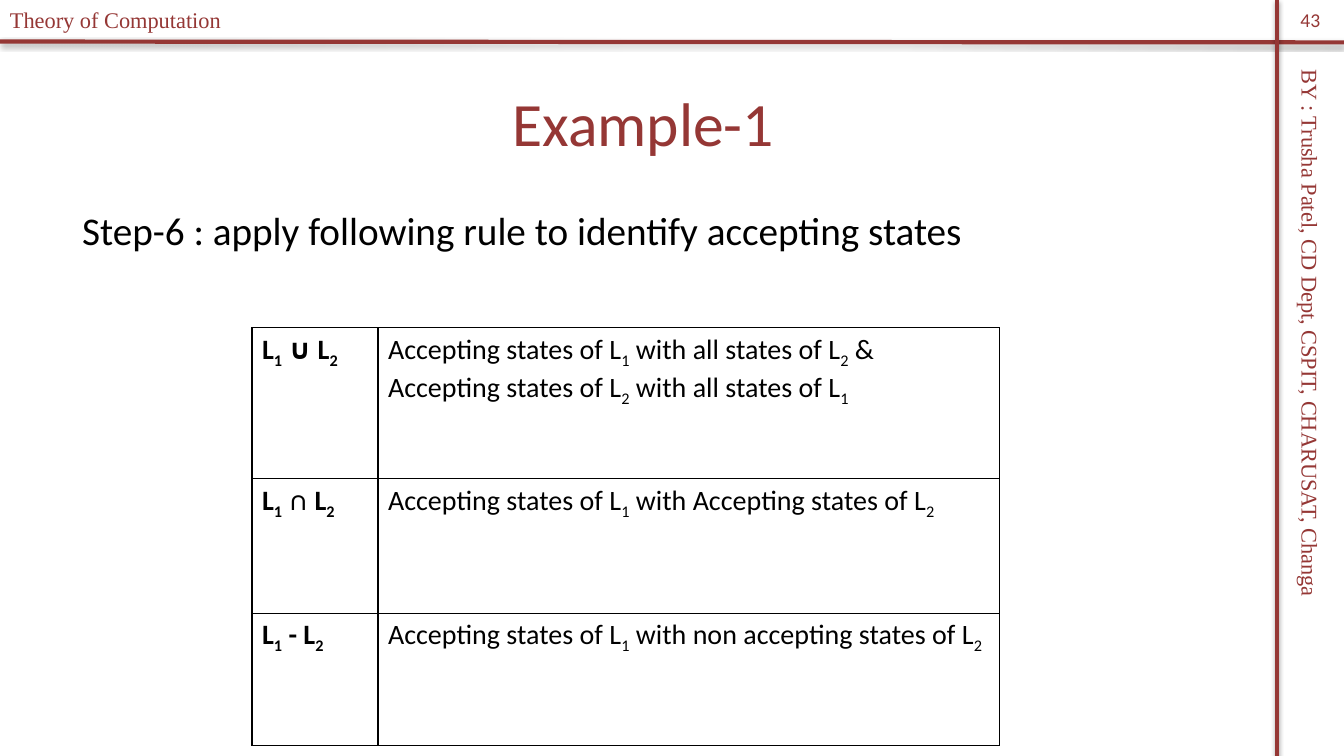
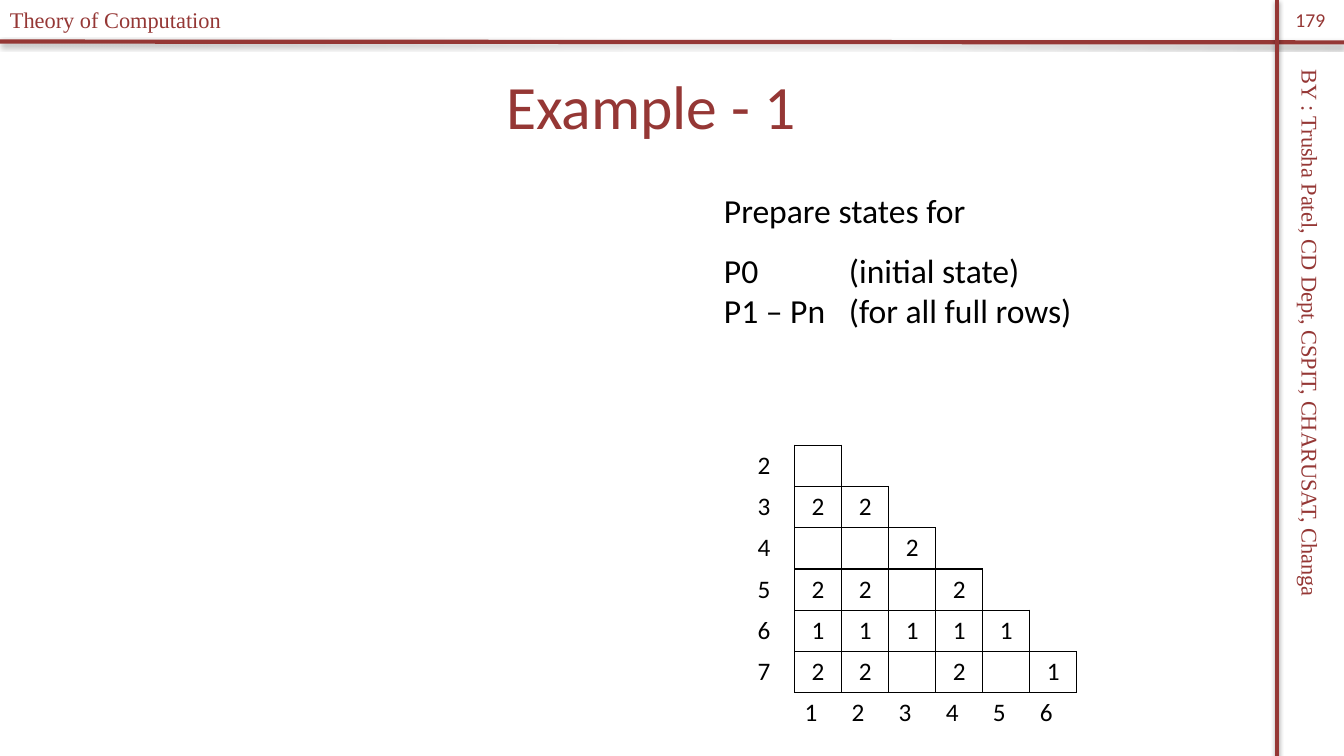
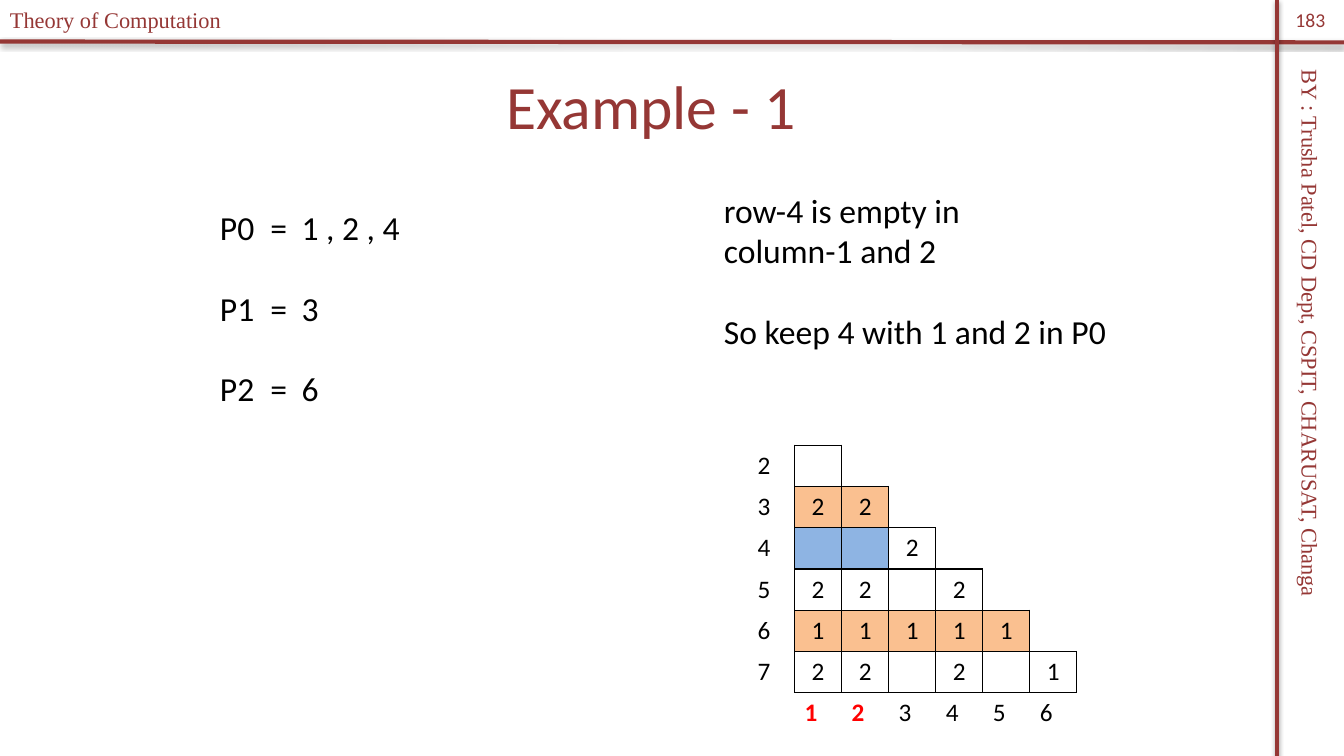
from lxml import etree
from pptx import Presentation
from pptx import util as u
from pptx.dml.color import RGBColor
from pptx.enum import shapes, text
from pptx.oxml.ns import qn

# Palette and fonts
MAROON, BLACK, RED = "953735", "000000", "FF0000"
ORANGE, BLUE = "FAC090", "8EB4E3"
SANS, SERIF, MATH = "Calibri", "Times New Roman", "Cambria"
LEFT, CENTER = text.PP_ALIGN.LEFT, text.PP_ALIGN.CENTER
TOP, MIDDLE = text.MSO_ANCHOR.TOP, text.MSO_ANCHOR.MIDDLE

deck = Presentation()
# Grid of 160 columns and 90 rows
UNIT = u.Inches(1) / 12
deck.slide_width, deck.slide_height = round(160 * UNIT), round(90 * UNIT)
BLANK = deck.slide_layouts[6]


def write(frame, lines, size, font=SANS, color=BLACK, align=LEFT, bold=False, tabs=()):
    """Fill a frame with (text, space before) lines; _ lowers the next character."""
    for number, (line, gap) in enumerate(lines):
        para = frame.paragraphs[0] if number == 0 else frame.add_paragraph()
        para.alignment = align
        if gap:
            para.space_before = u.Pt(gap)
        if tabs:
            stops = etree.SubElement(para._p.get_or_add_pPr(), qn("a:tabLst"))
            for stop in tabs:
                etree.SubElement(stops, qn("a:tab"), pos=str(u.Inches(stop)), algn="l")
        plain, *lowered = line.split("_")
        pieces = [(plain, False)]
        for part in lowered:
            pieces += [(part[0], True), (part[1:], False)]
        for piece, is_index in pieces:
            if not piece:
                continue
            run = para.add_run()
            run.text = piece
            run.font.name = MATH if piece.strip() in ("∪", "∩", "-") else font
            run.font.size, run.font.bold = u.Pt(size), bold
            run.font.color.rgb = RGBColor.from_string(color)
            if is_index:
                run._r.get_or_add_rPr().set("baseline", "-25000")


def style_cell(cell, edges, fill=None):
    """Draw the edges that are true (left, right, top, bottom), then the fill."""
    props = cell._tc.get_or_add_tcPr()
    for side, drawn in zip("LRTB", edges):
        edge = etree.SubElement(props, qn("a:ln" + side), w=str(u.Pt(1)))
        if drawn:
            ink = etree.SubElement(edge, qn("a:solidFill"))
            etree.SubElement(ink, qn("a:srgbClr"), val=BLACK)
        else:
            etree.SubElement(edge, qn("a:noFill"))
    if fill:
        cell.fill.solid()
        cell.fill.fore_color.rgb = RGBColor.from_string(fill)
    else:
        cell.fill.background()


# Label styles: size, font, colour, alignment, anchor, rotation
RUNNING = (16, SERIF, MAROON, LEFT, TOP, 0)
SIDEWAYS = (16, SERIF, MAROON, LEFT, TOP, 90)
NUMBER = (14, SANS, MAROON, CENTER, MIDDLE, 0)
TITLE = (44, SANS, MAROON, CENTER, MIDDLE, 0)
STEP = (28, SANS, BLACK, LEFT, TOP, 0)
NOTE = (24, SANS, BLACK, LEFT, TOP, 0)

# Parts on every slide
RULES = [(0, 4.95, 160, 5.05), (152, 0, 152, 90)]
HEADINGS = [
    ((117.5, 43.4, 77, 4.4), [("BY : Trusha Patel, CD Dept, CSPIT, CHARUSAT, Changa", 0)], SIDEWAYS, ()),
    ((0, 0.1, 39.5, 4.4), [("Theory of Computation", 0)], RUNNING, ()),
]
TITLE_BOX = (22, 5, 111, 15)

# Accepting-state rules
rules_table = [
    ("L_1 ∪ L_2", ["Accepting states of L_1 with all states of L_2 &",
                   "Accepting states of L_2 with all states of L_1"]),
    ("L_1 ∩ L_2", ["Accepting states of L_1 with Accepting states of L_2"]),
    ("L_1 - L_2", ["Accepting states of L_1 with non accepting states of L_2"]),
]

# Marks of the state pairs, one string per state from 2 to 7
MARKS = [" ", "22", "  2", "22 2", "11111", "22 2 1"]
SIZE = len(MARKS) + 1

# Each slide: number, title, title box, notes, (row fills, red columns) of the marks
pages = [
    (43, "Example-1", (2.6, 7, 148, 15), [
        ((8.6, 24, 142, 63),
         [("Step-6 : apply following rule to identify accepting states", 0)], STEP, ()),
    ], None),
    (179, "Example - 1", TITLE_BOX, [
        ((85, 22, 50, 18),
         [("Prepare states for", 0), ("P0\t(initial state)", 14),
          ("P1 – Pn\t(for all full rows)", 0)], NOTE, (1.24,)),
    ], ({}, ())),
    (183, "Example - 1", TITLE_BOX, [
        ((85, 22, 50, 28),
         [("row-4 is empty in", 0), ("column-1 and 2", 0),
          ("So keep 4 with 1 and 2 in P0", 29)], NOTE, ()),
        ((25, 24, 28, 25.5),
         [("P0\t=\t1 , 2 , 4", 0), ("P1\t=\t3", 29), ("P2\t=\t6", 29)], NOTE, (0.5, 0.81)),
    ], ({1: (ORANGE, 2), 2: (BLUE, 2), 4: (ORANGE, 5)}, (1, 2))),
]

for number, title, title_box, notes, marking in pages:
    slide = deck.slides.add_slide(BLANK)

    # Crossing rules with a soft shadow
    for ends in RULES:
        rule = slide.shapes.add_connector(
            shapes.MSO_CONNECTOR.STRAIGHT, *[round(end * UNIT) for end in ends])
        rule.line.color.rgb = RGBColor.from_string(MAROON)
        rule.line.width = u.Pt(3)
        effects = etree.SubElement(rule._element.spPr, qn("a:effectLst"))
        shadow = etree.SubElement(effects, qn("a:outerShdw"), blurRad="40000",
                                  dist="23000", dir="5400000", rotWithShape="0")
        tint = etree.SubElement(shadow, qn("a:srgbClr"), val=BLACK)
        etree.SubElement(tint, qn("a:alpha"), val="35000")

    # Headings, title, number and notes
    labels = HEADINGS + [
        (title_box, [(title, 0)], TITLE, ()),
        ((152, 0, 8, 4.8), [(str(number), 0)], NUMBER, ()),
    ] + notes
    for box, lines, (size, font, color, align, anchor, turn), tabs in labels:
        label = slide.shapes.add_textbox(*[round(side * UNIT) for side in box])
        label.rotation = turn
        label.text_frame.word_wrap = True
        label.text_frame.vertical_anchor = anchor
        write(label.text_frame, lines, size, font, color, align, tabs=tabs)

    # Table: rules on the first slide, triangle of marks on the others
    if marking is None:
        box, widths, heights = (30, 39, 89, 49.8), (15, 74), (18, 16, 15.8)
    else:
        box, widths, heights = (89, 53, 39.2, 34.4), [39.2 / SIZE] * SIZE, [34.4 / SIZE] * SIZE
    table = slide.shapes.add_table(
        len(heights), len(widths), *[round(side * UNIT) for side in box]).table
    table.first_row = table.horz_banding = False
    for column, width in zip(table.columns, widths):
        column.width = round(width * UNIT)
    for row, height in zip(table.rows, heights):
        row.height = round(height * UNIT)

    if marking is None:
        for r, (operation, states) in enumerate(rules_table):
            write(table.cell(r, 0).text_frame, [(operation, 0)], 20, bold=True)
            write(table.cell(r, 1).text_frame, [(line, 0) for line in states], 20)
            for c in range(2):
                style_cell(table.cell(r, c), [True] * 4)
        continue

    row_fills, red_columns = marking
    boxed = {(r, c) for r, marks in enumerate(MARKS) for c in range(1, len(marks) + 1)}
    for r in range(SIZE):
        for c in range(SIZE):
            cell = table.cell(r, c)
            near = [(r, c - 1), (r, c + 1), (r - 1, c), (r + 1, c)]
            fill, reach = row_fills.get(r, (None, 0))
            style_cell(cell, [(r, c) in boxed or spot in boxed for spot in near],
                       fill if 1 <= c <= reach else None)
            if (r, c) in boxed:
                mark = MARKS[r][c - 1].strip()
                if mark:
                    write(cell.text_frame, [(mark, 0)], 18, align=CENTER)
            elif c == 0 and r < SIZE - 1:
                write(cell.text_frame, [(str(r + 2), 0)], 18)
            elif c > 0 and r == SIZE - 1:
                red = c in red_columns
                write(cell.text_frame, [(str(c), 0)], 18, color=RED if red else BLACK, bold=red)

deck.save("out.pptx")
